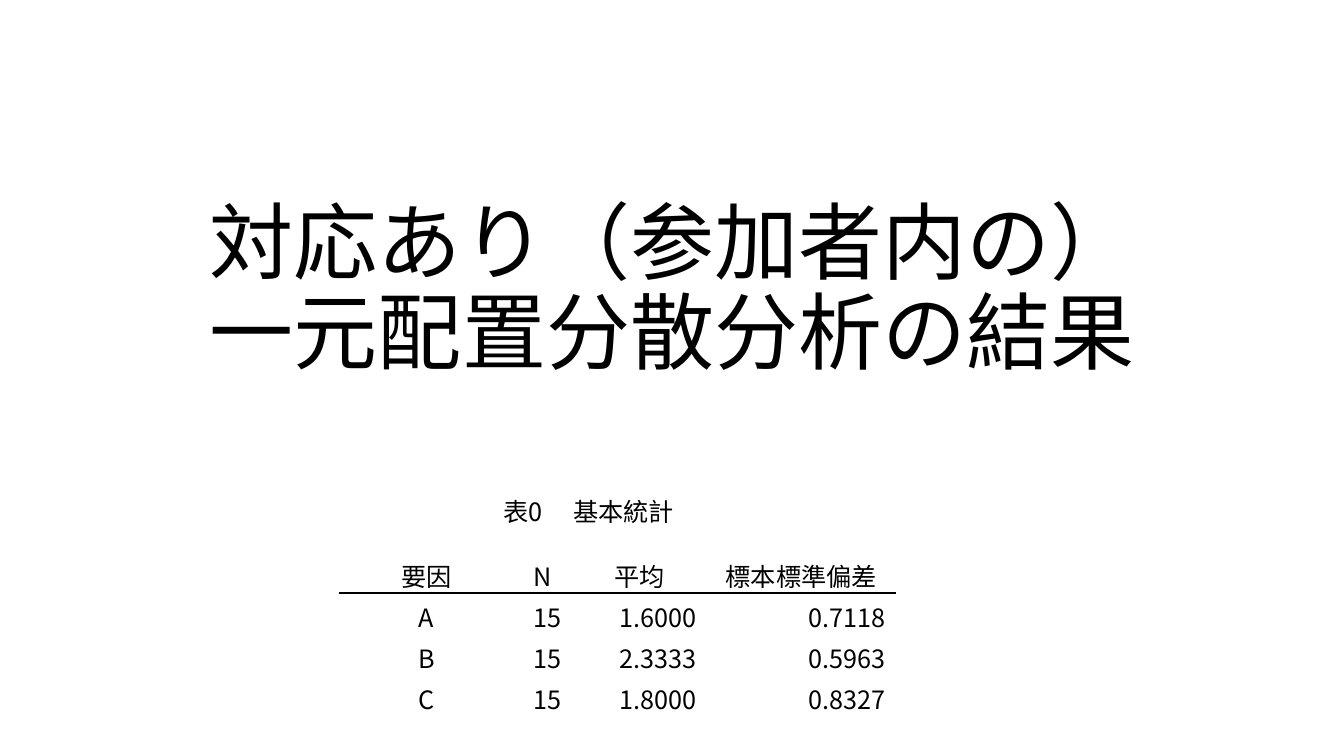
import lxml.etree
import pptx
import pptx.dml.color
import pptx.enum.text
import pptx.oxml
import pptx.oxml.ns
import pptx.util

EMU_PER_PX = 914400 / 100.8
ALIGN = pptx.enum.text.PP_ALIGN
ANCHOR = pptx.enum.text.MSO_ANCHOR


def px(length):
    return pptx.util.Emu(round(length * EMU_PER_PX))


def colour(hex_string):
    return pptx.dml.color.RGBColor.from_string(hex_string)


def set_values(target, values):
    for name, value in values.items():
        setattr(target, name, value)


class SlideBuilder:
    font_name = "Noto Sans CJK JP"
    ink = "000000"

    def __init__(self, presentation):
        self.slide = presentation.slides.add_slide(presentation.slide_layouts[0])

    def fill_text(self, text_frame, text, size, **paragraph_format):
        text_frame.text = text
        for paragraph in text_frame.paragraphs:
            set_values(paragraph, paragraph_format)
            font_format = {"name": self.font_name, "size": pptx.util.Pt(size), "bold": False}
            set_values(paragraph.font, font_format)
            for run in paragraph.runs:
                set_values(run.font, font_format)
                run.font.color.rgb = colour(self.ink)
                properties = run._r.get_or_add_rPr()
                east_asian = lxml.etree.SubElement(properties, pptx.oxml.ns.qn("a:ea"))
                east_asian.set("typeface", self.font_name)

    def title(self, box, text, size):
        shape = self.slide.shapes.title
        set_values(shape, dict(zip(("left", "top", "width", "height"), map(px, box))))
        frame_format = {
            "vertical_anchor": ANCHOR.BOTTOM,
            "auto_size": pptx.enum.text.MSO_AUTO_SIZE.NONE,
            "word_wrap": True,
        }
        set_values(shape.text_frame, frame_format)
        self.fill_text(shape.text_frame, text, size, alignment=ALIGN.CENTER, line_spacing=0.9)

    def caption(self, box, text, size):
        shape = self.slide.shapes.add_textbox(*map(px, box))
        frame_format = {
            "word_wrap": True,
            "auto_size": pptx.enum.text.MSO_AUTO_SIZE.SHAPE_TO_FIT_TEXT,
        }
        set_values(shape.text_frame, frame_format)
        self.fill_text(shape.text_frame, text, size, alignment=ALIGN.CENTER)

    def border(self, cell, side):
        line = pptx.oxml.parse_xml(
            f'<a:ln{side} {pptx.oxml.ns.nsdecls("a")} w="12700"><a:solidFill>'
            f'<a:srgbClr val="{self.ink}"/></a:solidFill></a:ln{side}>'
        )
        cell._tc.get_or_add_tcPr().insert(0, line)

    def table(self, left, top, column_widths, row_height, rows, size):
        shape = self.slide.shapes.add_table(
            len(rows), len(column_widths), px(left), px(top),
            px(sum(column_widths)), px(row_height * len(rows)),
        )
        table = shape.table
        set_values(table, {"first_row": False, "horz_banding": False})
        for column, width in zip(table.columns, column_widths):
            column.width = px(width)
        for row_index, values in enumerate(rows):
            table.rows[row_index].height = px(row_height)
            for column_index, value in enumerate(values):
                cell = table.cell(row_index, column_index)
                cell.fill.background()
                is_number = row_index > 0 and column_index > 0
                alignment = ALIGN.RIGHT if is_number else ALIGN.CENTER
                self.fill_text(cell.text_frame, value, size, alignment=alignment)
                if row_index < 2:
                    self.border(cell, "BT"[row_index])

    def remove_empty_placeholders(self):
        for shape in list(self.slide.placeholders):
            if not shape.text_frame.text:
                shape.element.getparent().remove(shape.element)


def main():
    presentation = pptx.Presentation()
    set_values(presentation, {"slide_width": px(1344), "slide_height": px(756)})
    builder = SlideBuilder(presentation)
    builder.title((168, 124, 1008, 263), "対応あり（参加者内の）\v一元配置分散分析の結果", 60)
    builder.caption((409, 491, 359, 40), "表0 　基本統計", 18)
    statistics = [
        ("要因", "N", "平均", "標本標準偏差"),
        ("A", "15", "1.6000", "0.7118"),
        ("B", "15", "2.3333", "0.5963"),
        ("C", "15", "1.8000", "0.8327"),
    ]
    builder.table(340, 552, (173, 59, 135, 189), 41, statistics, 18)
    builder.remove_empty_placeholders()
    presentation.save("out.pptx")


if __name__ == "__main__":
    main()
